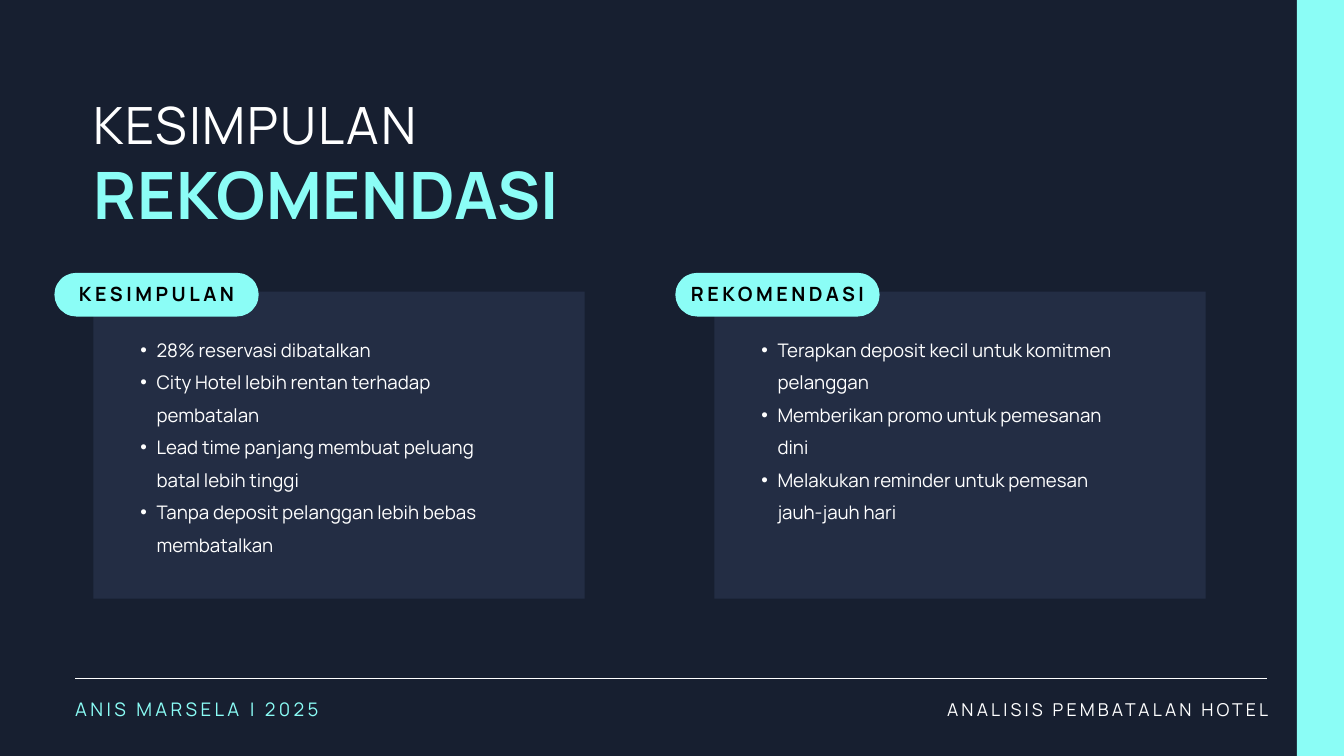
from lxml.etree import SubElement
from pptx import Presentation
from pptx.dml.color import RGBColor
from pptx.enum.shapes import MSO_CONNECTOR, MSO_SHAPE
from pptx.enum.text import MSO_ANCHOR, MSO_AUTO_SIZE, PP_ALIGN
from pptx.oxml.ns import qn
from pptx.util import Inches, Pt

FONT = "Manrope"
NAVY = RGBColor(0x17, 0x1F, 0x30)
PANEL = RGBColor(0x23, 0x2D, 0x44)
AQUA = RGBColor(0x8B, 0xFD, 0xF6)
WHITE = RGBColor(0xFF, 0xFF, 0xFF)
BLACK = RGBColor(0, 0, 0)

OVERLINE = "KESIMPULAN"
HEADLINE = "REKOMENDASI"
AUTHOR = "ANIS MARSELA | 2025"
TOPIC = "ANALISIS PEMBATALAN HOTEL"
CARDS = [
    ("KESIMPULAN", [
        "28% reservasi dibatalkan",
        "City Hotel lebih rentan terhadap pembatalan",
        "Lead time panjang membuat peluang batal lebih tinggi",
        "Tanpa deposit pelanggan lebih bebas membatalkan",
    ]),
    ("REKOMENDASI", [
        "Terapkan deposit kecil untuk komitmen pelanggan",
        "Memberikan promo untuk pemesanan dini",
        "Melakukan reminder untuk pemesan jauh-jauh hari",
    ]),
]

CARD_LEFT, CARD_TOP, CARD_STEP = 1.39, 4.34, 9.24
CARD_WIDTH, CARD_HEIGHT = 7.31, 4.57
LINE_HEIGHT = 34.8


def place(shape, left, top, width, height):
    shape.left, shape.top = Inches(left), Inches(top)
    shape.width, shape.height = Inches(width), Inches(height)


def add_bullet(para):
    props = para._p.get_or_add_pPr()
    props.set("marL", str(Inches(0.47)))
    props.set("indent", str(Inches(-0.24)))
    SubElement(props, qn("a:buFont")).set("typeface", "Arial")
    SubElement(props, qn("a:buChar")).set("char", "•")


def write(shape, lines, *, size, color, leading=None, bold=False, tracking=0,
          align=PP_ALIGN.LEFT, anchor=MSO_ANCHOR.TOP, inset=0, bullets=False):
    """Fill a shape with paragraphs; leading and tracking are in points."""
    frame = shape.text_frame
    frame.word_wrap = True
    frame.auto_size = MSO_AUTO_SIZE.NONE
    frame.vertical_anchor = anchor
    frame.margin_left = frame.margin_right = Inches(inset)
    frame.margin_top = frame.margin_bottom = Inches(inset)
    for index, line in enumerate(lines):
        para = frame.add_paragraph() if index else frame.paragraphs[0]
        para.alignment = align
        para.line_spacing = Pt(leading or size * 1.1)
        para.space_before = Pt(0)
        if bullets:
            add_bullet(para)
        span = para.add_run()
        span.text = line
        span.font.name = FONT
        span.font.size = Pt(size)
        span.font.bold = bold
        span.font.color.rgb = color
        if tracking:
            span._r.get_or_add_rPr().set("spc", str(round(tracking * 100)))


def add_text(page, left, top, width, height, lines, **style):
    box = page.shapes.add_textbox(*map(Inches, (left, top, width, height)))
    write(box, lines, **style)


def add_block(page, kind, left, top, width, height, color):
    block = page.shapes.add_shape(kind, *map(Inches, (left, top, width, height)))
    block.shadow.inherit = False
    block.fill.solid()
    block.fill.fore_color.rgb = color
    block.line.fill.background()
    return block


def add_card(page, left, label, points):
    add_block(page, MSO_SHAPE.RECTANGLE, left, CARD_TOP, CARD_WIDTH, CARD_HEIGHT, PANEL)
    add_text(page, left + 0.47, CARD_TOP + 0.55, 5.58, 3.34, points,
             size=20, color=WHITE, leading=LINE_HEIGHT, bullets=True)
    pill = add_block(page, MSO_SHAPE.ROUNDED_RECTANGLE,
                     left - 0.58, CARD_TOP - 0.28, 3.04, 0.65, AQUA)
    pill.adjustments[0] = 0.5
    write(pill, [label], size=21, color=BLACK, bold=True, tracking=3.8,
          align=PP_ALIGN.CENTER, anchor=MSO_ANCHOR.MIDDLE, inset=0.06)


def add_footer(page):
    rule = page.shapes.add_connector(
        MSO_CONNECTOR.STRAIGHT, *map(Inches, (1.12, 10.1, 18.86, 10.1)))
    rule.line.color.rgb = WHITE
    rule.line.width = Pt(0.75)
    SubElement(rule._element.spPr, qn("a:effectLst"))
    add_text(page, 1.12, 10.41, 6.1, 0.34, [AUTHOR], size=20, color=AQUA, tracking=3.6)
    add_text(page, 11.67, 10.42, 7.21, 0.31, [TOPIC], size=19, color=WHITE,
             tracking=3.4, align=PP_ALIGN.RIGHT)


def main():
    deck = Presentation()
    deck.slide_width, deck.slide_height = Inches(20), Inches(11.25)
    page = deck.slides.add_slide(deck.slide_layouts[5])
    page.background.fill.solid()
    page.background.fill.fore_color.rgb = NAVY

    add_block(page, MSO_SHAPE.RECTANGLE, 19.3, -0.1, 0.87, 11.45, AQUA)
    add_text(page, 1.39, 1.47, 8.51, 0.91, [OVERLINE], size=55, color=WHITE, tracking=2.1)
    title = page.shapes.title
    place(title, 1.39, 2.39, 7.8, 1.15)
    write(title, [HEADLINE], size=70, color=AQUA, bold=True, tracking=0.8)

    for index, (label, points) in enumerate(CARDS):
        add_card(page, CARD_LEFT + index * CARD_STEP, label, points)
    add_footer(page)
    deck.save("out.pptx")


if __name__ == "__main__":
    main()
